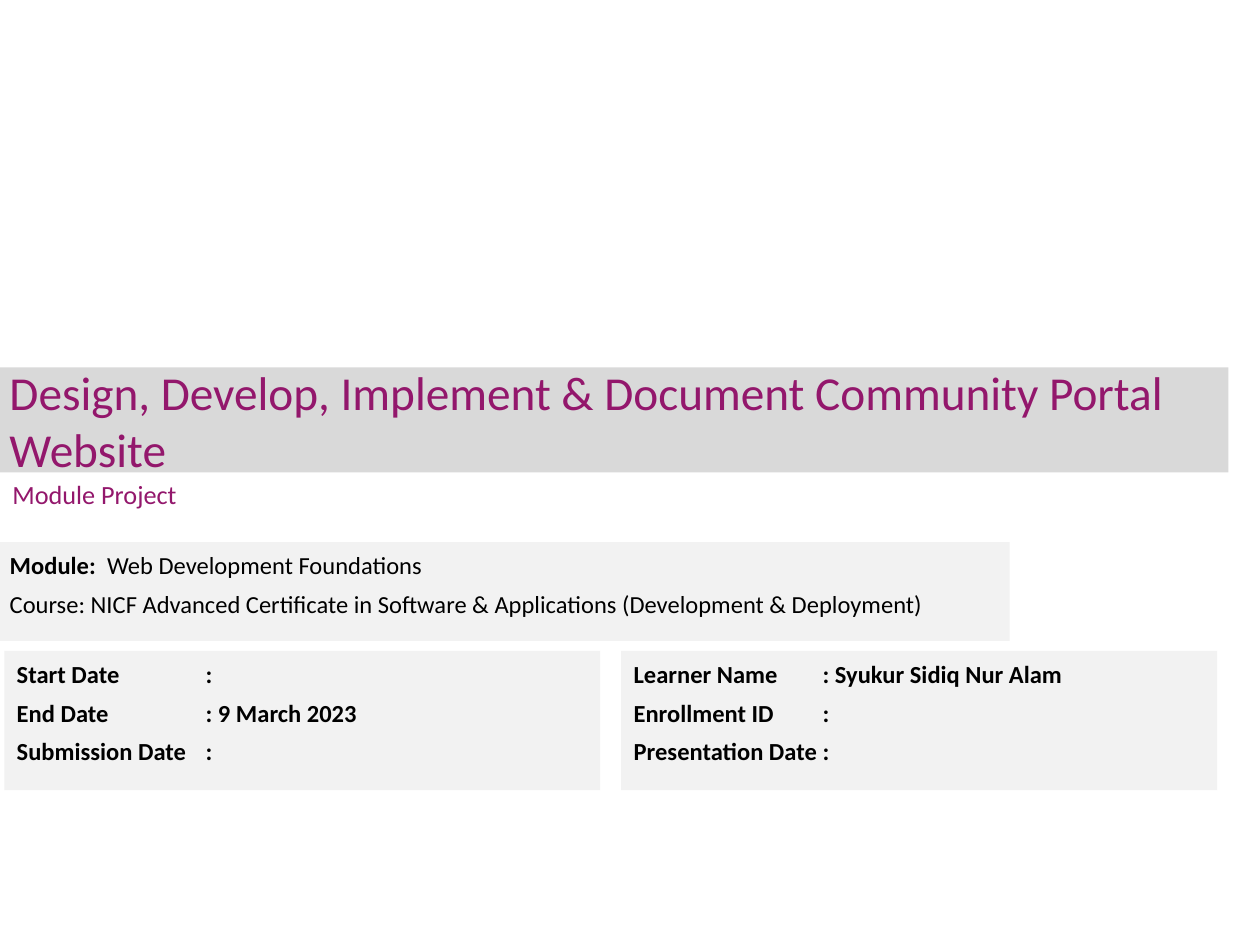
import dataclasses

import pptx
import pptx.dml.color
import pptx.enum.shapes
import pptx.enum.text
import pptx.oxml
import pptx.oxml.ns
import pptx.util

Pt = pptx.util.Pt
ANCHOR = pptx.enum.text.MSO_ANCHOR
LEFT = pptx.enum.text.PP_ALIGN.LEFT


@dataclasses.dataclass(frozen=True)
class Theme:
    """Colours, font and type sizes of the deck."""
    font: str = "Calibri"
    accent: str = "93176C"
    ink: str = "000000"
    band: str = "D9D9D9"
    panel: str = "F2F2F2"
    title_size: float = 27
    subtitle_size: float = 15
    body_size: float = 14


def color(value):
    """Turn a hex string into a colour."""
    return pptx.dml.color.RGBColor.from_string(value)


def add_span(para, text, *, font, size, ink, bold=False):
    """Add formatted text to a paragraph."""
    span = para.add_run()
    span.text = text
    span.font.name = font
    span.font.size = Pt(size)
    span.font.bold = bold
    span.font.color.rgb = color(ink)


def add_tab_stop(para, position):
    """Give a paragraph one left tab stop, in points."""
    tabs = pptx.oxml.parse_xml(
        f'<a:tabLst {pptx.oxml.ns.nsdecls("a")}>'
        f'<a:tab pos="{Pt(position)}" algn="l"/></a:tabLst>')
    para._p.get_or_add_pPr().append(tabs)


class Page:
    """One slide together with its style."""

    def __init__(self, deck, theme):
        """Start a title-only slide."""
        self.theme = theme
        self.slide = deck.slides.add_slide(deck.slide_layouts[5])

    def title(self, text, left, top, width, height):
        """Place the title on its band."""
        theme, box = self.theme, self.slide.shapes.title
        box.left, box.top, box.width, box.height = map(Pt, (left, top, width, height))
        box.fill.solid()
        box.fill.fore_color.rgb = color(theme.band)
        frame = box.text_frame
        frame.auto_size = pptx.enum.text.MSO_AUTO_SIZE.NONE
        frame.word_wrap = True
        frame.vertical_anchor = ANCHOR.MIDDLE
        frame.margin_left = frame.margin_right = Pt(5.4)
        frame.margin_top = frame.margin_bottom = Pt(2.7)
        para = frame.paragraphs[0]
        para.alignment = LEFT
        add_span(para, text, font=theme.font, size=theme.title_size, ink=theme.accent)

    def subtitle(self, text, left, top, width, height):
        """Add the line under the title."""
        theme = self.theme
        box = self.slide.shapes.add_textbox(*map(Pt, (left, top, width, height)))
        frame = box.text_frame
        frame.word_wrap = True
        frame.vertical_anchor = ANCHOR.MIDDLE
        add_span(frame.paragraphs[0], text, font=theme.font,
                 size=theme.subtitle_size, ink=theme.accent)

    def panel(self, lines, left, top, width, height, tab=None):
        """Add a grey panel; each line is a list of (text, bold) pairs."""
        theme = self.theme
        box = self.slide.shapes.add_shape(
            pptx.enum.shapes.MSO_SHAPE.RECTANGLE, *map(Pt, (left, top, width, height)))
        box.shadow.inherit = False
        box.fill.solid()
        box.fill.fore_color.rgb = color(theme.panel)
        box.line.fill.background()
        frame = box.text_frame
        frame.word_wrap = True
        frame.vertical_anchor = ANCHOR.TOP
        for index, line in enumerate(lines):
            para = frame.add_paragraph() if index else frame.paragraphs[0]
            para.alignment = LEFT
            para.line_spacing = Pt(18)
            para.space_before = para.space_after = Pt(2)
            if tab:
                add_tab_stop(para, tab)
            for text, bold in line:
                add_span(para, text, font=theme.font, size=theme.body_size,
                         ink=theme.ink, bold=bold)


def main():
    """Build and save the cover slide."""
    deck = pptx.Presentation()
    deck.slide_width, deck.slide_height = Pt(720), Pt(540)
    page = Page(deck, Theme())
    page.title("Design, Develop, Implement & Document Community Portal Website",
               0, 210, 702, 60)
    page.subtitle("Module Project", 0, 259.5, 462, 45)
    page.panel([
        [("Module:  ", True), ("Web Development Foundations", False)],
        [("Course: NICF Advanced Certificate in Software & Applications "
          "(Development & Deployment)", False)],
    ], -1.5, 309.75, 578.5, 56.5)

    details = [
        [("Start Date", ":"), ("End Date", ": 9 March 2023"), ("Submission Date", ":")],
        [("Learner Name", ": Syukur Sidiq Nur Alam"), ("Enrollment ID", ":"),
         ("Presentation Date", ":")],
    ]
    for column, fields in enumerate(details):
        lines = [[(f"{label}\t{value}", True)] for label, value in fields]
        page.panel(lines, 2.5 + 352.5 * column, 372, 340.5, 79.5, tab=108)
    deck.save("out.pptx")


main()
